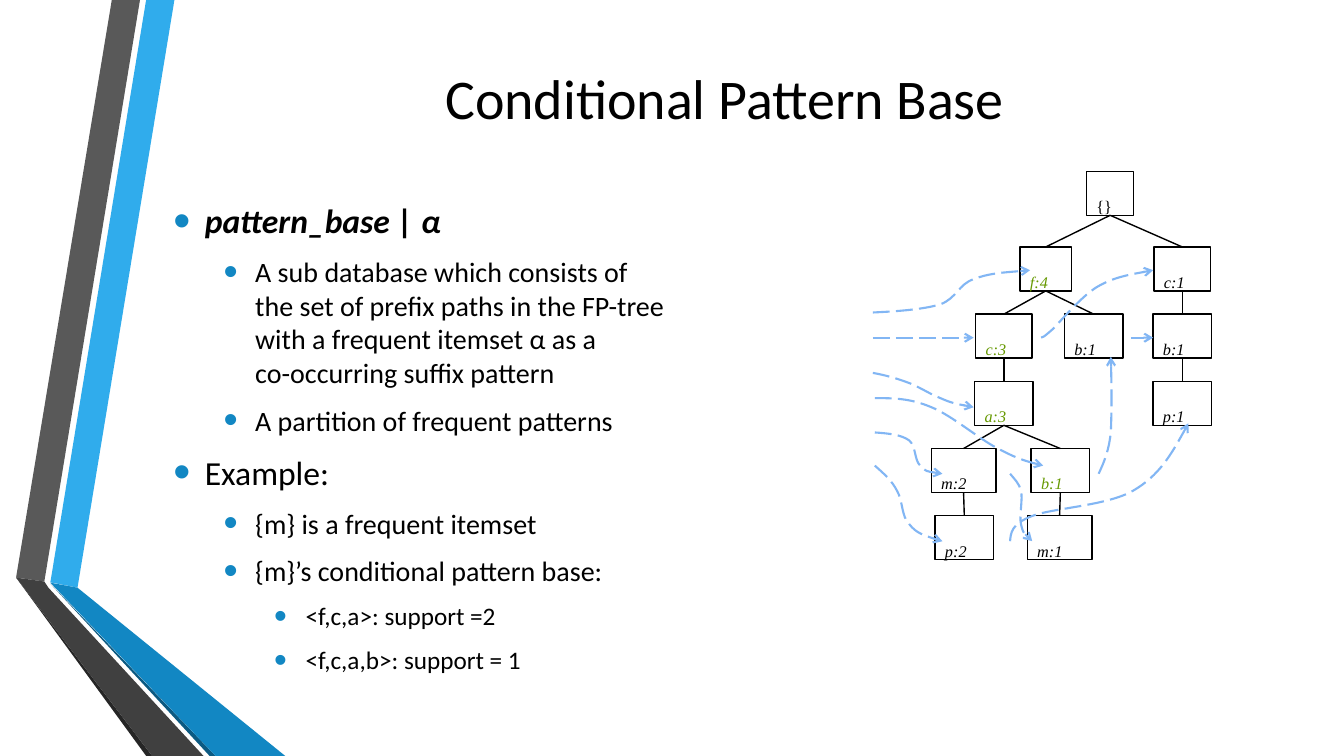
from pptx import Presentation
from pptx import util as u
from pptx.dml.color import RGBColor
from pptx.enum import dml, shapes, text
from pptx.oxml import parse_xml
from pptx.oxml.ns import nsdecls, qn

Pt = u.Pt
BLACK, GREEN, ARROW_BLUE, BULLET_BLUE = "000000", "669900", "82B6F4", "1287C3"


def color(hex_code):
    return RGBColor.from_string(hex_code)


def add_run(paragraph, words, font, size, hex_code=BLACK, bold=False, italic=False):
    run = paragraph.add_run()
    run.text = words
    run.font.name, run.font.size = font, Pt(size)
    run.font.bold, run.font.italic = bold, italic
    run.font.color.rgb = color(hex_code)
    return run


def outline(slide, left, top, points, close):
    corners = [(Pt(left + x), Pt(top + y)) for x, y in points]
    builder = slide.shapes.build_freeform(*corners[0])
    builder.add_line_segments(corners[1:], close=close)
    shape = builder.convert_to_shape()
    shape.shadow.inherit = False
    return shape


def add_line(slide, start, end):
    line = slide.shapes.add_connector(
        shapes.MSO_CONNECTOR.STRAIGHT, *(Pt(v) for v in (*start, *end)))
    line.element.spPr.append(parse_xml(f"<a:effectLst {nsdecls('a')}/>"))
    return line


# Folded ribbon on the left edge
RIBBON = [
    ("30ACEC", [(36, 416), (55.4, 419.8), (124.6, 0), (104.4, 0)]),
    ("595959", [(100, 0), (79.9, 0), (11.5, 412.6), (31.7, 415.4)]),
    ("262626", [(11.5, 412.6), (104.4, 540), (108.7, 540)]),
    ("0C5A82", [(36, 416.9), (149.8, 540), (154.1, 540)]),
    ("1287C3", [(36, 416.2), (154.1, 540), (203.8, 540), (55.4, 419.8)]),
    ("404040", [(145.4, 540), (34.6, 419.8), (31.7, 415.4), (11.5, 412.6), (108.7, 540)]),
]


def draw_ribbon(slide, left, top):
    for hex_code, points in RIBBON:
        band = outline(slide, left, top, points, True)
        band.fill.solid()
        band.fill.fore_color.rgb = color(hex_code)
        band.line.fill.background()


# Title and bulleted list
BODY_LINES = [
    (0, ["pattern_base | α"], True),
    (1, ["A sub database which consists of ",
         "the set of prefix paths in the FP-tree ",
         "with a frequent itemset α as a ",
         "co-occurring suffix pattern"], False),
    (1, ["A partition of frequent patterns"], False),
    (0, ["Example:"], False),
    (1, ["{m} is a frequent itemset"], False),
    (1, ["{m}’s conditional pattern base:"], False),
    (2, ["<f,c,a>: support =2"], False),
    (2, ["<f,c,a,b>: support = 1"], False),
]
LEVEL_SIZES = [24, 20, 18]


def place(holder, left, top, width, height):
    holder.left, holder.top, holder.width, holder.height = map(Pt, (left, top, width, height))
    holder.element.getparent().append(holder.element)  # in front of the ribbon
    frame = holder.text_frame
    frame.word_wrap, frame.auto_size = True, text.MSO_AUTO_SIZE.NONE
    frame.vertical_anchor = text.MSO_ANCHOR.MIDDLE
    return frame


def write_title(slide, *box):
    heading = place(slide.shapes.title, *box).paragraphs[0]
    heading.alignment = text.PP_ALIGN.CENTER
    add_run(heading, "Conditional Pattern Base", "Calibri", 40)


def set_bullet(paragraph, level):
    props = paragraph._p.get_or_add_pPr()
    props.set("marL", str(Pt(22.5 + 36 * level)))
    props.set("indent", str(-Pt(22.5)))
    for xml in (f'<a:buClr {nsdecls("a")}><a:srgbClr val="{BULLET_BLUE}"/></a:buClr>',
                f'<a:buSzPct {nsdecls("a")} val="145000"/>',
                f'<a:buFont {nsdecls("a")} typeface="Arial"/>',
                f'<a:buChar {nsdecls("a")} char="•"/>'):
        props.append(parse_xml(xml))


def write_body(slide, *box):
    frame = place(slide.placeholders[1], *box)
    for i, (level, lines, strong) in enumerate(BODY_LINES):
        item = frame.add_paragraph() if i else frame.paragraphs[0]
        size = LEVEL_SIZES[level]
        item.level, item.alignment = level, text.PP_ALIGN.LEFT
        item.space_before, item.space_after = Pt(size * 0.2), Pt(6)
        set_bullet(item, level)
        for j, words in enumerate(lines):
            if j:
                item.add_line_break()
            add_run(item, words, "Calibri", size, bold=strong, italic=strong)


# FP-tree: key -> (label, centre, level, colour); edges join parent to child
NODES = {
    "root": ("{}", 169.5, 0, BLACK),
    "f": ("f:4", 123.5, 1, GREEN),
    "c right": ("c:1", 221, 1, BLACK),
    "c": ("c:3", 93.6, 2, GREEN),
    "b middle": ("b:1", 157.7, 2, BLACK),
    "b right": ("b:1", 221, 2, BLACK),
    "a": ("a:3", 93.6, 3, GREEN),
    "p right": ("p:1", 221, 3, BLACK),
    "m": ("m:2", 64.8, 4, BLACK),
    "b": ("b:1", 133.9, 4, GREEN),
    "p": ("p:2", 65.3, 5, BLACK),
    "m low": ("m:1", 133.4, 5, BLACK),
}
EDGES = [("root", "f"), ("root", "c right"), ("f", "c"), ("f", "b middle"),
         ("c right", "b right"), ("b right", "p right"), ("c", "a"),
         ("a", "m"), ("a", "b"), ("m", "p"), ("b", "m low")]
NODE_WIDTHS = {"{": 33.8, "f": 36.8, "c": 40.4, "m": 46.2}
LEVEL_TOPS = [0] + [54 + 48 * n for n in range(5)]


def draw_tree(slide, left, top):
    boxes = {}
    for key, (label, centre, level, hex_code) in NODES.items():
        width = NODE_WIDTHS.get(label[0], 41.8)
        node = slide.shapes.add_shape(
            shapes.MSO_SHAPE.RECTANGLE, Pt(left + centre - width / 2),
            Pt(top + LEVEL_TOPS[level]), Pt(width), Pt(31.4))
        node.shadow.inherit = False
        node.fill.background()
        node.line.color.rgb, node.line.width = color(BLACK), Pt(1)
        frame = node.text_frame
        frame.word_wrap, frame.auto_size = False, text.MSO_AUTO_SIZE.SHAPE_TO_FIT_TEXT
        frame.vertical_anchor = text.MSO_ANCHOR.TOP
        frame.paragraphs[0].alignment = text.PP_ALIGN.LEFT
        run = add_run(frame.paragraphs[0], label, "Times New Roman", 20, hex_code,
                      italic=key != "root")
        run.font._element.set("baseline", "-30000")  # labels are subscripts
        boxes[key] = node
    for parent, child in EDGES:
        edge = add_line(slide, (0, 0), (0, 0))
        edge.begin_connect(boxes[parent], 2)
        edge.end_connect(boxes[child], 0)
        edge.line.color.rgb, edge.line.width = color(BLACK), Pt(1)


# Dashed node links: a start point, then three points for each Bézier piece
CURVES = [
    [(0, 100.8), (18, 100), (36, 98.6), (48.2, 95), (59.8, 90.7), (61.2, 80.6), (72, 77),
     (82.8, 72.7), (97.2, 72), (112.3, 70.6)],
    [(120.2, 118.8), (121, 118.8), (121.7, 118.8), (128.2, 113), (134.6, 106.6), (148.3, 90),
     (159.8, 82.8), (172.1, 75.6), (185.8, 73.4), (200.2, 70.6)],
    [(0, 144), (8, 145.4), (16, 147.6), (24, 150.5), (32.4, 153.4), (40.3, 159), (48.2, 162),
     (56.2, 165.6), (64, 167), (72, 168.5)],
    [(1.4, 162), (14.4, 162), (26.6, 162), (41.8, 168.5), (56.2, 174.2), (76.3, 191.5),
     (89.3, 198), (103, 205.2), (112.3, 208), (121.7, 210.2)],
    [(161.3, 216), (165, 208), (168.5, 200.2), (170, 186.5), (170.6, 172), (170.6, 152),
     (170, 132.5)],
    [(1.4, 186.5), (10.8, 187.2), (20.2, 188), (26, 192.2), (31, 196.6), (29.5, 206),
     (33.8, 210.2), (37.4, 214.6), (44, 215.3), (49.7, 216)],
    [(98, 216), (100.8, 219.6), (104.4, 222.5), (105.8, 228.2), (107.3, 234), (104.4, 246.2),
     (105.8, 252), (107.3, 258.5), (110.2, 261.4), (113.8, 264.2)],
    [(1.4, 210.2), (8, 216), (13.7, 221), (17.3, 228.2), (21.6, 235.4), (20.2, 246.2),
     (26, 252), (31, 258.5), (40.3, 261.4), (49.7, 264.2)],
    [(98, 264.2), (98.6, 258.5), (98.6, 252), (113.8, 246.2), (128.2, 240.5), (167, 239),
     (185.8, 228.2), (204.5, 217.4), (215.3, 198.7), (225.4, 180)],
]
STRAIGHT_LINKS = [(0, 72), (184.3, 200.2)]


def bend(shape):
    """Turn each three line segments into one cubic Bézier piece."""
    segments = list(shape.element.iter(qn("a:lnTo")))
    for i in range(0, len(segments), 3):
        piece = parse_xml(f"<a:cubicBezTo {nsdecls('a')}/>")
        segments[i].addprevious(piece)
        for segment in segments[i:i + 3]:
            piece.append(segment[0])
            segment.getparent().remove(segment)


def draw_links(slide, left, top):
    links = [add_line(slide, (left + x1, top + 118.8), (left + x2, top + 118.8))
             for x1, x2 in STRAIGHT_LINKS]
    for points in CURVES:
        curve = outline(slide, left, top, points, False)
        bend(curve)
        curve.fill.background()
        links.append(curve)
    for link in links:
        link.line.color.rgb, link.line.width = color(ARROW_BLUE), Pt(1.5)
        link.line.dash_style = dml.MSO_LINE.LONG_DASH
        link.line._get_or_add_ln().append(
            parse_xml(f'<a:tailEnd {nsdecls("a")} type="arrow"/>'))


def main():
    deck = Presentation()
    deck.slide_width, deck.slide_height = Pt(960), Pt(540)
    slide = deck.slides.add_slide(deck.slide_layouts[1])
    draw_ribbon(slide, 0, 0)
    write_title(slide, 123, 0, 789, 138.5)
    write_body(slide, 116.6, 131, 789, 363)
    draw_tree(slide, 623.5, 122.4)
    draw_links(slide, 623.5, 122.4)
    deck.save("out.pptx")


if __name__ == "__main__":
    main()
